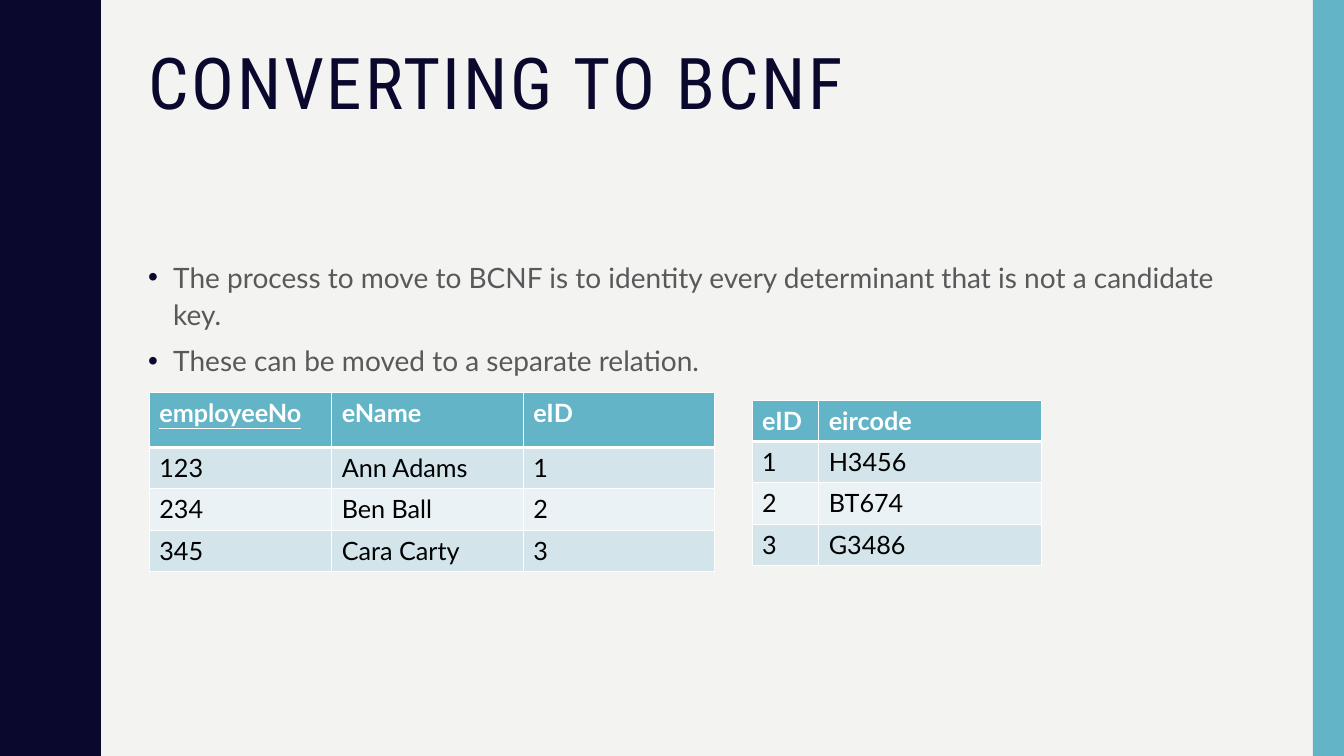
from lxml.etree import SubElement
from pptx import Presentation
from pptx.dml.color import RGBColor
from pptx.enum.shapes import MSO_SHAPE
from pptx.enum.text import MSO_ANCHOR, MSO_AUTO_SIZE, PP_ALIGN
from pptx.oxml import parse_xml
from pptx.oxml.ns import nsdecls, qn
from pptx.util import Inches, Pt

NAVY, TEAL, PAPER, GREY = "0B082E", "62B4C6", "F3F3F2", "595959"
WHITE, BLACK, BAND_DARK, BAND_LIGHT = "FFFFFF", "000000", "D3E5EA", "EAF2F5"


def color(hex_code):
    return RGBColor.from_string(hex_code)


def write(paragraph, text, size=18, font="Lato", fill=BLACK, bold=False,
          underline=False, line_spacing=None, before=None):
    paragraph.alignment = PP_ALIGN.LEFT
    paragraph.line_spacing = line_spacing
    paragraph.space_before = before
    run = paragraph.add_run()
    run.text = text
    run.font.size, run.font.name = Pt(size), font
    run.font.bold, run.font.underline = bold, underline
    run.font.color.rgb = color(fill)
    return run


deck = Presentation()
deck.slide_width, deck.slide_height = Inches(13.33), Inches(7.5)
slide = deck.slides.add_slide(deck.slide_layouts[5])
slide.background.fill.solid()
slide.background.fill.fore_color.rgb = color(PAPER)

# Wavy left edge: one rising half wave, mirrored and repeated
half_wave = [(0.78, 0), (0.78, 0.07), (0.79, 0.14), (0.8, 0.2), (0.81, 0.25),
             (0.83, 0.29), (0.85, 0.33), (0.87, 0.38), (0.89, 0.42),
             (0.91, 0.46), (0.93, 0.5), (0.95, 0.55), (0.96, 0.61),
             (0.97, 0.68), (0.97, 0.75)]
wave_length = 1.5
full_wave = half_wave + [(x, wave_length - y) for x, y in half_wave[-2::-1]]
edge = [(x, y + n * wave_length) for n in range(5) for x, y in full_wave]
outline = slide.shapes.build_freeform(0, 0, scale=Inches(1))
outline.add_line_segments(edge + [(0, 7.5)], close=True)
wave = outline.convert_to_shape()

# Right strip
strip = slide.shapes.add_shape(MSO_SHAPE.RECTANGLE, Inches(13.02), 0,
                               Inches(0.31), Inches(7.5))
for band, fill in ((wave, NAVY), (strip, TEAL)):
    band.shadow.inherit = False
    band.fill.solid()
    band.fill.fore_color.rgb = color(fill)
    band.line.fill.background()

# Title
title = slide.shapes.title
title.left, title.top = Inches(1.37), Inches(0.42)
title.width, title.height = Inches(11.13), Inches(1.63)
title.text_frame.vertical_anchor = MSO_ANCHOR.TOP
title.text_frame.auto_size = MSO_AUTO_SIZE.NONE
heading = write(title.text_frame.paragraphs[0], "CONVERTING TO BCNF", size=51,
                font="Roboto Condensed", fill=NAVY, line_spacing=0.9, before=Pt(0))
heading.font._element.set("spc", "200")

# Bullets
body = slide.shapes.add_textbox(Inches(1.37), Inches(2.5),
                                Inches(11.13), Inches(3.93)).text_frame
body.word_wrap = True
points = ["The process to move to BCNF is to identity every determinant "
          "that is not a candidate key.",
          "These can be moved to a separate relation."]
for i, point in enumerate(points):
    paragraph = body.add_paragraph() if i else body.paragraphs[0]
    write(paragraph, point, size=20, fill=GREY, line_spacing=1.1, before=Pt(7))
    props = paragraph._p.get_or_add_pPr()
    props.set("marL", str(Inches(0.25)))
    props.set("indent", str(-Inches(0.25)))
    bullet_color = SubElement(props, qn("a:buClr"))
    SubElement(bullet_color, qn("a:srgbClr"), val=NAVY)
    SubElement(props, qn("a:buFont"), typeface="Arial")
    SubElement(props, qn("a:buChar"), char="•")

# Relations: left, top, column widths, header height, rows, key column
relations = [
    (1.48, 3.89, [1.81, 1.9, 1.9], 0.55,
     [["employeeNo", "eName", "eID"], ["123", "Ann Adams", "1"],
      ["234", "Ben Ball", "2"], ["345", "Cara Carty", "3"]], "employeeNo"),
    (7.46, 3.97, [0.66, 2.21], 0.41,
     [["eID", "eircode"], ["1", "H3456"], ["2", "BT674"], ["3", "G3486"]], None),
]
row_height = 0.41
for left, top, widths, header_height, rows, key in relations:
    height = header_height + row_height * (len(rows) - 1)
    relation = slide.shapes.add_table(
        len(rows), len(widths), Inches(left), Inches(top),
        Inches(sum(widths)), Inches(height)).table
    for column, width in zip(relation.columns, widths):
        column.width = Inches(width)
    for r, values in enumerate(rows):
        header = r == 0
        relation.rows[r].height = Inches(header_height if header else row_height)
        for c, value in enumerate(values):
            cell = relation.cell(r, c)
            cell.fill.solid()
            cell.fill.fore_color.rgb = color(
                TEAL if header else BAND_DARK if r % 2 else BAND_LIGHT)
            write(cell.text_frame.paragraphs[0], value, bold=header,
                  fill=WHITE if header else BLACK, underline=value == key)
            # White grid, thicker between the header and the first row
            for i, side in enumerate(("lnL", "lnR", "lnT", "lnB")):
                thick = (side == "lnB" and header) or (side == "lnT" and r == 1)
                cell._tc.get_or_add_tcPr().insert(i, parse_xml(
                    f'<a:{side} {nsdecls("a")} w="{Pt(3 if thick else 1)}">'
                    f'<a:solidFill><a:srgbClr val="{WHITE}"/></a:solidFill>'
                    f'</a:{side}>'))

deck.save("out.pptx")
